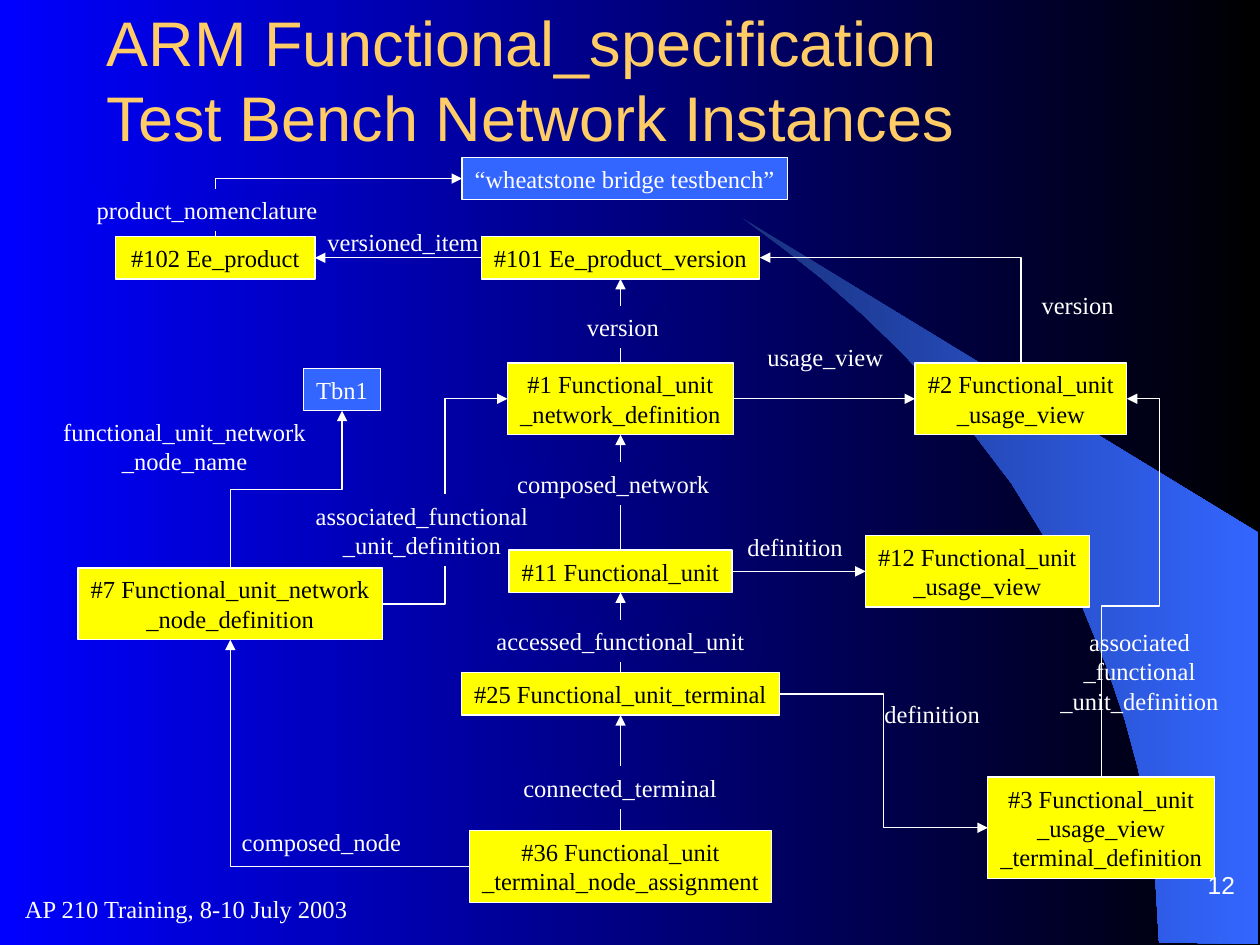
"""Build the test bench network slide: instance boxes joined by labelled arrows."""
from lxml.etree import SubElement
from pptx import Presentation
from pptx.dml.color import RGBColor
from pptx.enum.shapes import MSO_CONNECTOR, MSO_SHAPE
from pptx.enum.text import MSO_ANCHOR, PP_ALIGN
from pptx.oxml.ns import qn
from pptx.util import Pt

RECT = MSO_SHAPE.RECTANGLE
STRAIGHT, ELBOW = MSO_CONNECTOR.STRAIGHT, MSO_CONNECTOR.ELBOW
LEFT, CENTER, RIGHT = PP_ALIGN.LEFT, PP_ALIGN.CENTER, PP_ALIGN.RIGHT
MIDDLE, BOTTOM = MSO_ANCHOR.MIDDLE, MSO_ANCHOR.BOTTOM
TOP, WEST, BASE, EAST = range(4)
WIDE, HIGH = 720, 540
HUES = {"gold": "FFCC66", "white": "FFFFFF", "black": "000000", "yellow": "FFFF00",
        "blue": "3366FF", "navy": "19327E"}
SERIF, SANS = "Times New Roman", "Arial"


def blend(fill, start, end):
    fill.gradient()
    fill.gradient_angle = 0
    for stop, hue in zip(fill.gradient_stops, (start, end)):
        stop.color.rgb = RGBColor.from_string(hue)


def write(shape, text, hue="white", size=14, font=SERIF, align=CENTER,
          anchor=MIDDLE, wrap=False, inset=3.6):
    frame = shape.text_frame
    frame.word_wrap = wrap
    frame.vertical_anchor = anchor
    frame.margin_left = frame.margin_right = Pt(7.2 if wrap else 0)
    frame.margin_top = frame.margin_bottom = Pt(inset)
    para = frame.paragraphs[0]
    para.alignment = align
    for row, line in enumerate(text.split("\n")):
        if row:
            para.add_line_break()
        run = para.add_run()
        run.text = line
        run.font.name = font
        run.font.size = Pt(size)
        run.font.color.rgb = RGBColor.from_string(HUES[hue])


deck = Presentation()
deck.slide_width, deck.slide_height = Pt(WIDE), Pt(HIGH)
slide = deck.slides.add_slide(deck.slide_layouts[6])
shapes = slide.shapes
blend(slide.background.fill, "0000FF", "000000")

curve = [(662.4, 538.6), (719.3, 539.3), (719.3, 304.6), (424.1, 124.6), (449.3, 143.3),
         (470.2, 159.8), (493.2, 180), (515.5, 201.6), (548.6, 237.6), (578.2, 276.5),
         (599, 310.3), (617.8, 344.9), (632.2, 380.2), (643, 411.8), (650.2, 438.5),
         (657.4, 472.3), (660.2, 501.1)]
dots = [(Pt(x), Pt(y)) for x, y in curve]
pen = shapes.build_freeform(*dots[0])
pen.add_line_segments(dots[1:], close=True)
band = pen.convert_to_shape()
band.shadow.inherit = False
band.line.fill.background()
blend(band.fill, HUES["navy"], HUES["blue"])

boxes = [
    ("name", "“wheatstone bridge testbench”", 264, 90, 186, 24.2),
    ("tbn", "Tbn1", 173.5, 210.6, 44, 24.2),
    ("102", "#102 Ee_product", 66.2, 135.2, 113.8, 24.2),
    ("101", "#101 Ee_product_version", 275, 135.2, 159.2, 24.2),
    ("1", "#1 Functional_unit\n_network_definition", 290, 207.4, 129.2, 41),
    ("2", "#2 Functional_unit\n_usage_view", 522.9, 207.4, 121, 41),
    ("7", "#7 Functional_unit_network\n_node_definition", 44.6, 324.6, 174, 41),
    ("11", "#11 Functional_unit", 290.8, 314.4, 127.6, 24.2),
    ("12", "#12 Functional_unit\n_usage_view", 494.6, 306, 127.8, 41),
    ("25", "#25 Functional_unit_terminal", 263.8, 384.5, 181.6, 24.2),
    ("36", "#36 Functional_unit\n_terminal_node_assignment", 268.3, 474.6, 172.6, 41),
    ("3", "#3 Functional_unit\n_usage_view\n_terminal_definition", 564.5, 444, 129.6, 58),
]
nodes = {}
for key, text, *place in boxes:
    box = shapes.add_shape(RECT, *map(Pt, place))
    value = key in ("name", "tbn")
    box.shadow.inherit = False
    box.fill.solid()
    box.fill.fore_color.rgb = RGBColor.from_string(HUES["blue" if value else "yellow"])
    box.line.color.rgb = RGBColor.from_string(HUES["white"])
    box.line.width = Pt(0.75)
    write(box, text, "white" if value else "black")
    nodes[key] = box

links = [
    ("101", WEST, "102", EAST, None),
    ("1", TOP, "101", BASE, None),
    ("11", TOP, "1", BASE, None),
    ("25", TOP, "11", BASE, None),
    ("36", TOP, "25", BASE, None),
    ("1", EAST, "2", WEST, None),
    ("11", EAST, "12", WEST, None),
    ("7", TOP, "tbn", BASE, (3, 90, 1, 1, ())),
    ("7", EAST, "1", WEST, (3, 0, 0, 1, ())),
    ("25", EAST, "3", WEST, (3, 0, 0, 0, ())),
    ("3", TOP, "2", EAST, (4, 90, 1, 1, (45200, 227000))),
    ("36", WEST, "7", BASE, (2, 180, 0, 0, ())),
    ("102", TOP, "name", WEST, (2, 90, 1, 1, ())),
    ("2", TOP, "101", EAST, (2, 270, 0, 1, ())),
]
for start, out, end, into, bend in links:
    link = shapes.add_connector(ELBOW if bend else STRAIGHT, 0, 0, 0, 0)
    link.begin_connect(nodes[start], out)
    link.end_connect(nodes[end], into)
    link.line.color.rgb = RGBColor.from_string(HUES["white"])
    link.line.width = Pt(0.75)
    props = link._element.spPr
    if bend:
        kind, turn, across, down, pulls = bend
        midx = (link.begin_x + link.end_x) // 2
        midy = (link.begin_y + link.end_y) // 2
        size = abs(link.end_x - link.begin_x), abs(link.end_y - link.begin_y)
        wide, high = size[::-1] if turn % 180 else size
        link.left, link.top = midx - wide // 2, midy - high // 2
        link.width, link.height = wide, high
        frame = props.find(qn("a:xfrm"))
        for name, num in (("rot", turn * 60000), ("flipH", across), ("flipV", down)):
            frame.set(name, str(num))
        geom = props.find(qn("a:prstGeom"))
        geom.set("prst", f"bentConnector{kind}")
        for num, pull in enumerate(pulls, 1):
            SubElement(geom.find(qn("a:avLst")), qn("a:gd"), name=f"adj{num}", fmla=f"val {pull}")
    SubElement(props.find(qn("a:ln")), qn("a:tailEnd"), type="triangle")
    SubElement(props, qn("a:effectLst"))

labels = [
    ("product_nomenclature", 48.2, 108, 140.4, 24.2, True),
    ("version", 328.3, 174.6, 55.4, 24.2, True),
    ("composed_network", 284.6, 264.2, 131.8, 24.2, True),
    ("accessed_functional_unit", 273.6, 354.2, 162, 24.2, True),
    ("connected_terminal", 291.8, 438, 125.3, 24.2, True),
    ("associated_functional\n_unit_definition", 173.2, 282.4, 136, 41, True),
    ("functional_unit_network\n_node_name", 28.8, 234.5, 153.4, 41, False),
    ("versioned_item", 180, 126.2, 100.8, 24.2, False),
    ("version", 588.2, 162.2, 55.4, 24.2, False),
    ("usage_view", 431.3, 192, 80.6, 24.2, False),
    ("definition", 419.8, 300.2, 69.1, 24.2, False),
    ("definition", 498.2, 396, 69.1, 24.2, False),
    ("composed_node", 131.2, 468.9, 105.1, 24.2, False),
    ("associated\n_functional\n_unit_definition", 599, 354.4, 104.4, 58, False),
]
for text, x, y, wide, high, masked in labels:
    label = shapes.add_textbox(Pt(x), Pt(y), Pt(wide), Pt(high))
    if masked:
        shades = [f"0000{round(255 * (1 - edge / WIDE)):02X}" for edge in (x, x + wide)]
        blend(label.fill, *shades)
    write(label, text)
shapes._spTree.append(nodes["11"]._element)

title = shapes.add_textbox(Pt(54), Pt(0), Pt(612), Pt(90))
write(title, "ARM Functional_specification\nTest Bench Network Instances",
      "gold", 36, SANS, LEFT, wrap=True)
foot = shapes.add_textbox(Pt(7.2), Pt(501.1), Pt(336.2), Pt(36))
write(foot, "AP 210 Training, 8-10 July 2003", align=LEFT, wrap=True)
page = shapes.add_textbox(Pt(565.2), Pt(483.8), Pt(147.6), Pt(30.2))
write(page, "12", font=SANS, align=RIGHT, anchor=BOTTOM, wrap=True, inset=0)

deck.save("out.pptx")
